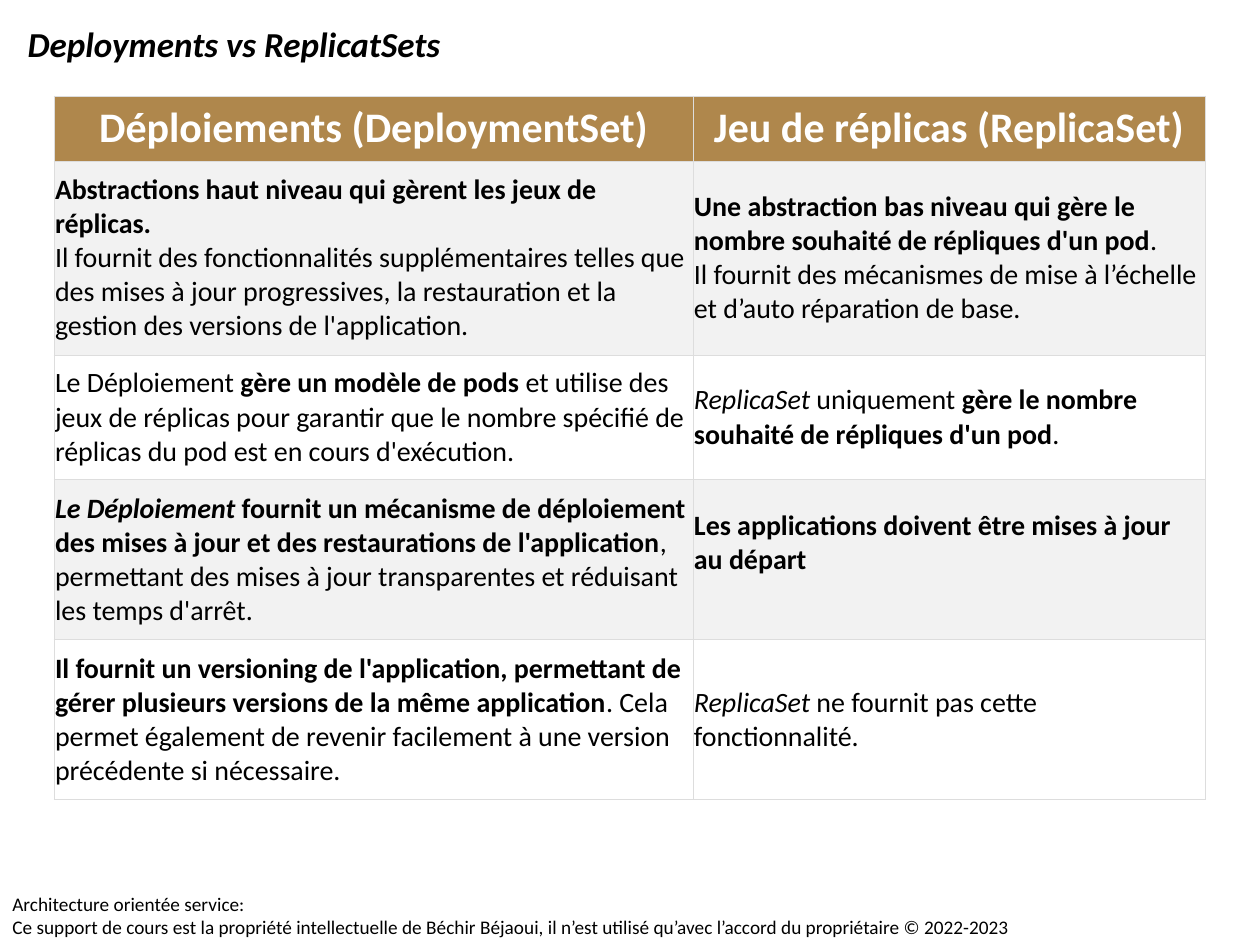
import pptx
import pptx.dml.color
import pptx.enum.text
import pptx.util
from lxml import etree

RGBColor = pptx.dml.color.RGBColor
ALIGN = pptx.enum.text.PP_ALIGN
ANCHOR = pptx.enum.text.MSO_ANCHOR
AUTO_SIZE = pptx.enum.text.MSO_AUTO_SIZE

BLACK = RGBColor(0, 0, 0)
WHITE = RGBColor(255, 255, 255)
BRONZE = RGBColor(0xAF, 0x87, 0x4C)
PALE_GRAY = RGBColor(0xF2, 0xF2, 0xF2)
BORDER_GRAY = RGBColor(0xDD, 0xDD, 0xDD)
FONT = "Calibri"
DRAWING = "http://schemas.openxmlformats.org/drawingml/2006/main"

# A cell is a list of paragraphs, a paragraph a list of (text, style) runs;
# the style holds "b" for bold and "i" for italic.
TITLE = [[("Deployments vs ReplicatSets", "bi")]]
FOOTER = [
    [("Architecture orientée service:", "")],
    [("Ce support de cours est la propriété intellectuelle de Béchir Béjaoui, "
      "il n’est utilisé qu’avec l’accord du propriétaire © 2022-2023", "")],
]
ROWS = [
    ([[("Déploiements (DeploymentSet)", "b")]],
     [[("Jeu de réplicas (ReplicaSet)", "b")]]),
    ([[("Abstractions haut niveau qui gèrent les jeux de réplicas.", "b")],
      [("Il fournit des fonctionnalités supplémentaires telles que des mises à jour "
        "progressives, la restauration et la gestion des versions de l'application.", "")]],
     [[("Une abstraction bas niveau qui gère le nombre souhaité de répliques d'un pod", "b"),
       (".", "")],
      [("Il fournit des mécanismes de mise à l’échelle et d’auto réparation de base.", "")]]),
    ([[("Le Déploiement ", ""), ("gère un modèle de pods", "b"),
       (" et utilise des jeux de réplicas pour garantir que le nombre spécifié de "
        "réplicas du pod est en cours d'exécution.", "")]],
     [[("ReplicaSet", "i"), (" uniquement ", ""),
       ("gère le nombre souhaité de répliques d'un pod", "b"), (".", "")]]),
    ([[("Le Déploiement", "bi"),
       (" fournit un mécanisme de déploiement des mises à jour et des restaurations "
        "de l'application", "b"),
       (", permettant des mises à jour transparentes et réduisant les temps d'arrêt.", "")]],
     [[("Les applications doivent être mises à jour au départ", "b")]]),
    ([[("Il fournit un versioning de l'application, permettant de gérer plusieurs "
        "versions de la même application", "b"),
       (". Cela permet également de revenir facilement à une version précédente "
        "si nécessaire.", "")]],
     [[("ReplicaSet", "i"), (" ne fournit pas cette fonctionnalité.", "")]]),
]
COLUMN_WIDTHS = [639, 512]
ROW_HEIGHTS = [65, 194, 125, 160, 160]
TABLE_LEFT, TABLE_TOP = 54, 96
RAISED_CELL = (3, 1)
RAISED_MARGIN = 35


def px(length):
    return pptx.util.Emu(round(length * 914400 / 126))


def write(text_frame, paragraphs, size, color, alignment=ALIGN.LEFT):
    for index, runs in enumerate(paragraphs):
        paragraph = text_frame.paragraphs[0] if index == 0 else text_frame.add_paragraph()
        paragraph.alignment = alignment
        for text, style in runs:
            run = paragraph.add_run()
            run.text = text
            run.font.name = FONT
            run.font.size = pptx.util.Pt(size)
            run.font.color.rgb = color
            run.font.bold = "b" in style
            run.font.italic = "i" in style


def add_borders(cell):
    properties = cell._tc.get_or_add_tcPr()
    for side in ("lnL", "lnR", "lnT", "lnB"):
        line = etree.SubElement(properties, f"{{{DRAWING}}}{side}", w=str(pptx.util.Pt(0.5)))
        fill = etree.SubElement(line, f"{{{DRAWING}}}solidFill")
        etree.SubElement(fill, f"{{{DRAWING}}}srgbClr", val=str(BORDER_GRAY))


def add_title(slide):
    title = slide.shapes.title
    title.left, title.top, title.width, title.height = map(px, (15, 16, 459, 55))
    frame = title.text_frame
    frame.word_wrap = False
    frame.auto_size = AUTO_SIZE.SHAPE_TO_FIT_TEXT
    frame.vertical_anchor = ANCHOR.TOP
    write(frame, TITLE, 20, BLACK)


def add_footer(slide):
    frame = slide.shapes.add_textbox(*map(px, (0, 886, 1211, 59))).text_frame
    frame.word_wrap = True
    frame.auto_size = AUTO_SIZE.SHAPE_TO_FIT_TEXT
    write(frame, FOOTER, 11, BLACK)


def add_comparison(slide):
    table = slide.shapes.add_table(
        len(ROWS), len(COLUMN_WIDTHS), px(TABLE_LEFT), px(TABLE_TOP),
        px(sum(COLUMN_WIDTHS)), px(sum(ROW_HEIGHTS))).table
    for column, width in zip(table.columns, COLUMN_WIDTHS):
        column.width = px(width)
    for row, height in zip(table.rows, ROW_HEIGHTS):
        row.height = px(height)
    for row_index, row in enumerate(ROWS):
        header = row_index == 0
        fill = BRONZE if header else PALE_GRAY if row_index % 2 else WHITE
        margin = px(4 if header else 1)
        for column_index, paragraphs in enumerate(row):
            cell = table.cell(row_index, column_index)
            cell.margin_left = cell.margin_right = margin
            cell.margin_top = cell.margin_bottom = margin
            if (row_index, column_index) == RAISED_CELL:
                cell.margin_bottom = px(RAISED_MARGIN)
            cell.vertical_anchor = ANCHOR.MIDDLE
            add_borders(cell)
            cell.fill.solid()
            cell.fill.fore_color.rgb = fill
            if header:
                write(cell.text_frame, paragraphs, 24, WHITE, ALIGN.CENTER)
            else:
                write(cell.text_frame, paragraphs, 16, BLACK)


def main():
    presentation = pptx.Presentation()
    presentation.slide_width, presentation.slide_height = px(1260), px(945)
    slide = presentation.slides.add_slide(presentation.slide_layouts[5])
    add_footer(slide)
    add_title(slide)
    add_comparison(slide)
    presentation.save("out.pptx")


if __name__ == "__main__":
    main()
